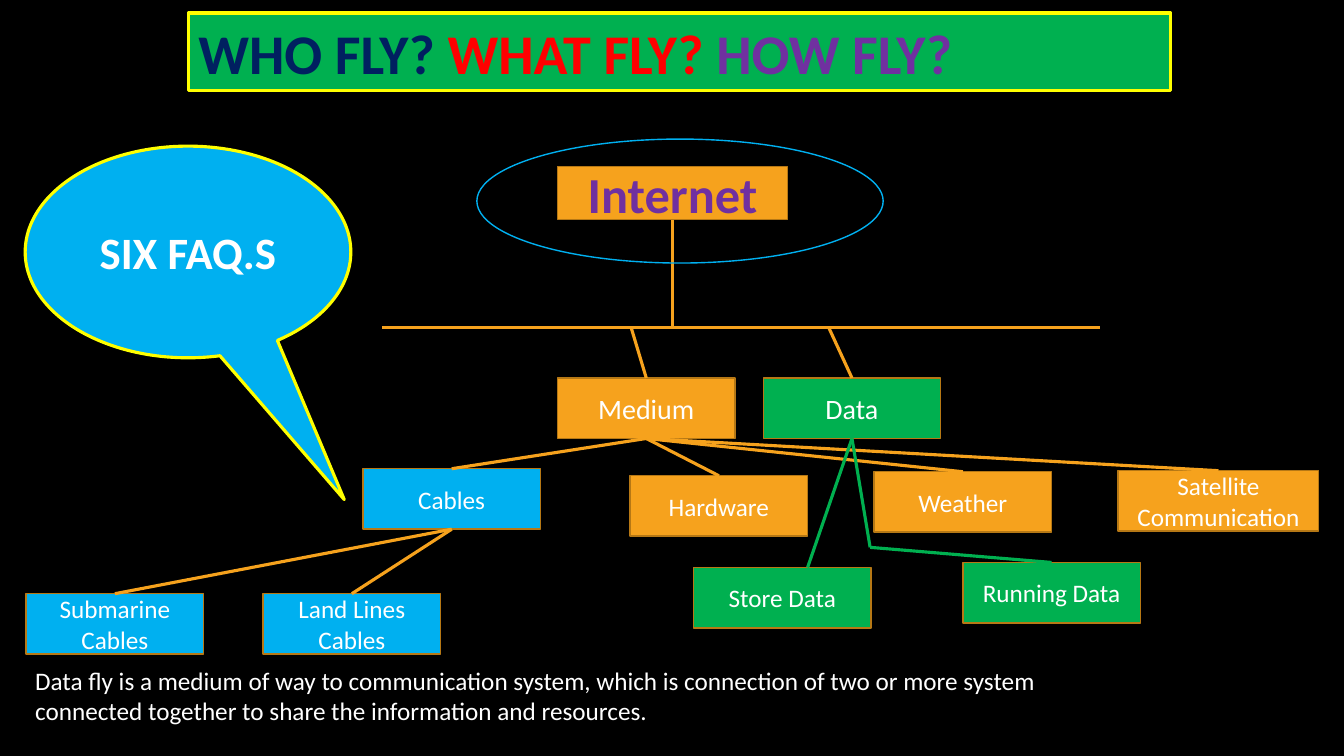
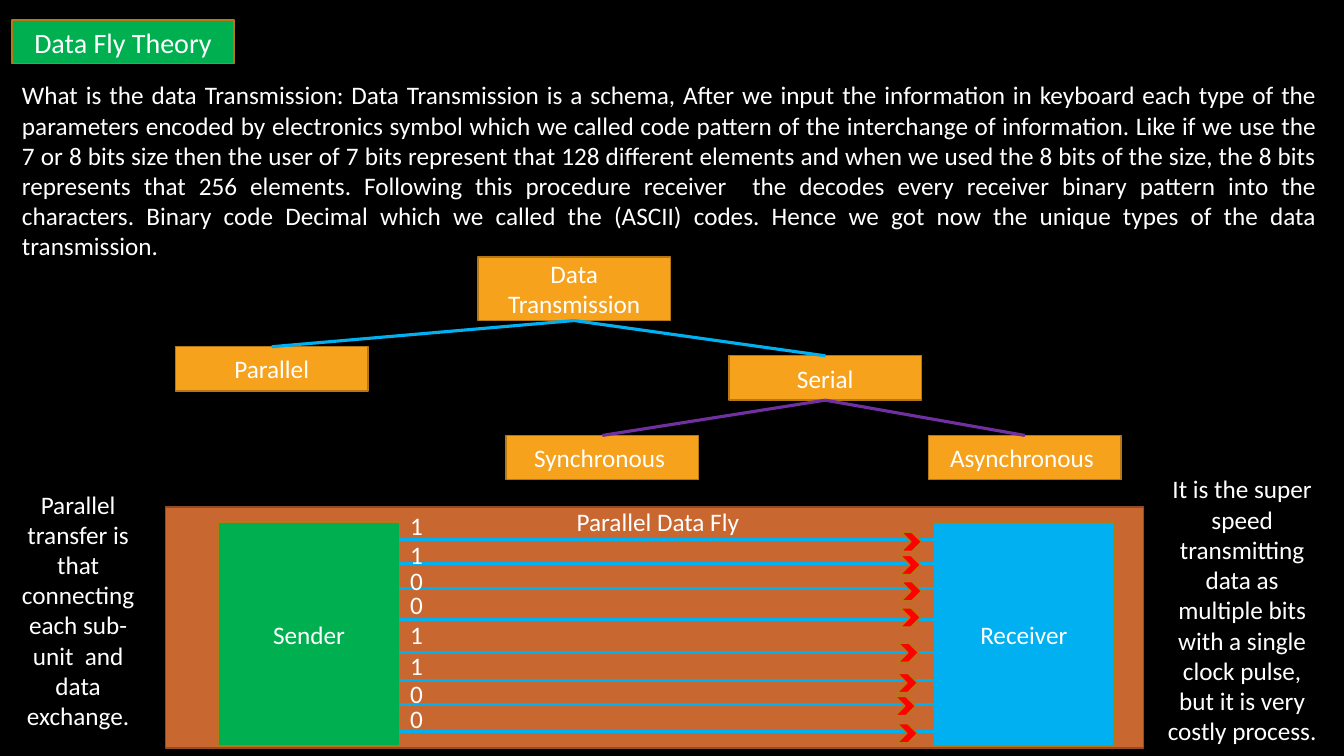
from lxml import etree
from pptx import Presentation
from pptx.dml.color import RGBColor
from pptx.enum.shapes import MSO_CONNECTOR, MSO_SHAPE
from pptx.enum.text import MSO_ANCHOR, MSO_AUTO_SIZE, PP_ALIGN
from pptx.oxml.ns import qn
from pptx.util import Inches, Pt

BLACK, WHITE, YELLOW = "000000", "FFFFFF", "FFFF00"
GREEN, BLUE, ORANGE = "00B050", "00B0F0", "F6A21D"
RED, PURPLE, NAVY = "FF0000", "7030A0", "002060"
BROWN, RUST, DARK_RUST = "B67815", "C96731", "954C24"
FONT = "Calibri"
TOP, BOTTOM = 0, 2


def rgb(value):
    return RGBColor.from_string(value)


class Deck:
    """Holds the shared style and the slide being drawn."""

    def __init__(self):
        self.presentation = Presentation()
        self.presentation.slide_width = Inches(13.33)
        self.presentation.slide_height = Inches(7.5)
        self.slide = None

    def new_slide(self):
        self.slide = self.presentation.slides.add_slide(self.presentation.slide_layouts[6])
        background = self.slide.background.fill
        background.solid()
        background.fore_color.rgb = rgb(BLACK)

    def label(self, shape, parts, size=18, bold=False, align=PP_ALIGN.CENTER,
              anchor=MSO_ANCHOR.MIDDLE, grow=False):
        frame = shape.text_frame
        frame.word_wrap = True
        frame.vertical_anchor = anchor
        frame.auto_size = MSO_AUTO_SIZE.SHAPE_TO_FIT_TEXT if grow else MSO_AUTO_SIZE.NONE
        paragraph = frame.paragraphs[0]
        paragraph.alignment = align
        for words, color in parts:
            run = paragraph.add_run()
            run.text = words
            run.font.name = FONT
            run.font.size = Pt(size)
            run.font.bold = bold
            run.font.color.rgb = rgb(color)

    def shape(self, kind, place, fill=None, line=BROWN, weight=1):
        shape = self.slide.shapes.add_shape(kind, *map(Inches, place))
        shape.shadow.inherit = False
        if fill:
            shape.fill.solid()
            shape.fill.fore_color.rgb = rgb(fill)
        else:
            shape.fill.background()
        shape.line.color.rgb = rgb(line)
        shape.line.width = Pt(weight)
        return shape

    def box(self, words, place, fill=ORANGE, size=18, color=WHITE, bold=False):
        box = self.shape(MSO_SHAPE.RECTANGLE, place, fill)
        self.label(box, [(words, color)], size, bold)
        return box

    def text(self, words, place, **style):
        text = self.slide.shapes.add_textbox(*map(Inches, place))
        self.label(text, [(words, WHITE)], **style)

    def passage(self, words, place, align):
        self.text(words, place, align=align, anchor=MSO_ANCHOR.TOP, grow=True)

    def line(self, start=(0, 0), end=(0, 0), color=ORANGE, parent=None, child=None):
        line = self.slide.shapes.add_connector(
            MSO_CONNECTOR.STRAIGHT, *map(Inches, (*start, *end)))
        if parent is not None:
            line.begin_connect(parent, BOTTOM)
        if child is not None:
            line.end_connect(child, TOP)
        line.line.color.rgb = rgb(color)
        line.line.width = Pt(2.25)
        etree.SubElement(line._element.spPr, qn("a:effectLst"))

    def branch(self, parent, children, color=ORANGE):
        for child in children:
            self.line(color=color, parent=parent, child=child)


def internet_slide(deck):
    deck.new_slide()
    title = deck.shape(MSO_SHAPE.RECTANGLE, (1.87, 0.13, 9.74, 0.77), GREEN, YELLOW, 2.25)
    questions = [("WHO FLY? ", NAVY), ("WHAT FLY? ", RED), ("HOW FLY?", PURPLE)]
    deck.label(title, questions, 40, True, PP_ALIGN.LEFT, MSO_ANCHOR.TOP, True)

    faq = deck.shape(MSO_SHAPE.OVAL_CALLOUT, (0.25, 1.45, 3.23, 2.1), BLUE, YELLOW, 2.25)
    faq.adjustments[0], faq.adjustments[1] = 0.48, 1.17
    deck.label(faq, [("SIX FAQ.S", WHITE)], 32, True)

    def node(words, left, top, fill=ORANGE, size=18, width=1.76):
        return deck.box(words, (left, top, width, 0.6), fill, size)

    internet = deck.box("Internet", (5.53, 1.65, 2.28, 0.53), size=36, color=PURPLE, bold=True)
    deck.line(end=(6.67, 3.25), parent=internet)
    deck.line((3.79, 3.25), (10.91, 3.25))

    cables = node("Cables", 3.6, 4.65, BLUE)
    hardware = node("Hardware", 6.25, 4.72)
    weather = node("Weather", 8.67, 4.68)
    satellite = node("Satellite Communication", 11.09, 4.67, width=1.99)
    data = node("Data", 7.57, 3.75, GREEN, 20)
    medium = node("Medium", 5.53, 3.75, size=20)
    deck.line((6.26, 3.25), child=medium)
    deck.line((8.22, 3.25), child=data)
    deck.shape(MSO_SHAPE.OVAL, (4.73, 1.38, 4.03, 1.23), line=BLUE)
    deck.branch(medium, [cables, hardware, weather, satellite])

    deck.passage(
        "Data fly is a medium of way to communication system, which is connection of two "
        "or more system connected together to share the information and resources.",
        (0.25, 6.55, 10.95, 0.71), PP_ALIGN.LEFT)

    node("Store Data", 6.88, 5.63, GREEN)
    running = node("Running Data", 9.55, 5.58, GREEN)
    bend = (8.63, 5.43)
    deck.line(end=bend, color=GREEN, parent=data)
    deck.line(end=(8.01, 5.63), color=GREEN, parent=data)
    deck.line(bend, color=GREEN, child=running)

    submarine = node("Submarine Cables", 0.26, 5.89, BLUE)
    land_lines = node("Land Lines Cables", 2.61, 5.89, BLUE)
    deck.branch(cables, [submarine, land_lines])


def theory_slide(deck):
    deck.new_slide()
    deck.box("Data Fly Theory", (0.12, 0.2, 2.2, 0.43), GREEN, 20)
    deck.passage(
        "What is the data Transmission: Data Transmission is a schema, After we input the "
        "information in keyboard each type of the parameters encoded by electronics symbol "
        "which we called code pattern of the interchange of information. Like if we use the "
        "7 or 8 bits size then the user of 7 bits represent that 128 different elements and "
        "when we used the 8 bits of the size, the 8 bits represents that 256 elements. "
        "Following this procedure receiver  the decodes every receiver binary pattern into "
        "the characters. Binary code Decimal which we called the (ASCII) codes. Hence we got "
        "now the unique types of the data transmission.",
        (0.12, 0.74, 13.04, 1.92), PP_ALIGN.JUSTIFY)

    def node(words, left, top, height=0.44):
        return deck.box(words, (left, top, 1.91, height))

    transmission = node("Data Transmission", 4.74, 2.55, 0.63)
    parallel = node("Parallel", 1.74, 3.44)
    serial = node("Serial", 7.23, 3.53)
    synchronous = node("Synchronous ", 5.02, 4.32)
    asynchronous = node("Asynchronous ", 9.21, 4.32)
    deck.branch(transmission, [parallel, serial], BLUE)
    deck.branch(serial, [synchronous, asynchronous], PURPLE)

    deck.passage(
        "Parallel transfer is that connecting each sub-unit  and data exchange.",
        (0.1, 4.8, 1.35, 2.52), PP_ALIGN.CENTER)
    deck.shape(MSO_SHAPE.RECTANGLE, (1.64, 5.03, 9.7, 2.39), RUST, DARK_RUST)
    deck.box("Sender", (2.17, 5.18, 1.79, 2.22), GREEN)
    deck.box("Receiver", (9.26, 5.18, 1.79, 2.22), BLUE)
    deck.text("Parallel Data Fly", (5.55, 5.04, 1.95, 0.26))

    wires = [
        ("1", 5.35, 5.12, 8.94, 5.28),
        ("1", 5.59, 5.41, 8.93, 5.51),
        ("0", 5.84, 5.66, 8.94, 5.77),
        ("0", 6.15, 5.9, 8.93, 6.03),
        ("1", 6.47, 6.2, 8.91, 6.38),
        ("1", 6.75, 6.51, 8.9, 6.68),
        ("0", 6.99, 6.78, 8.88, 6.91),
        ("0", 7.26, 7.03, 8.9, 7.18),
    ]
    for bit, wire_y, bit_top, arrow_left, arrow_top in wires:
        deck.line((3.96, wire_y), (9.26, wire_y), BLUE)
        deck.text(bit, (3.97, bit_top, 0.21, 0.19))
        deck.shape(MSO_SHAPE.CHEVRON, (arrow_left, arrow_top, 0.2, 0.19), RED)

    deck.passage(
        "It is the super speed transmitting data as multiple bits with a single clock pulse, "
        "but it is very costly process.",
        (11.46, 4.65, 1.72, 2.83), PP_ALIGN.CENTER)


def main():
    deck = Deck()
    internet_slide(deck)
    theory_slide(deck)
    deck.presentation.save("out.pptx")


if __name__ == "__main__":
    main()
